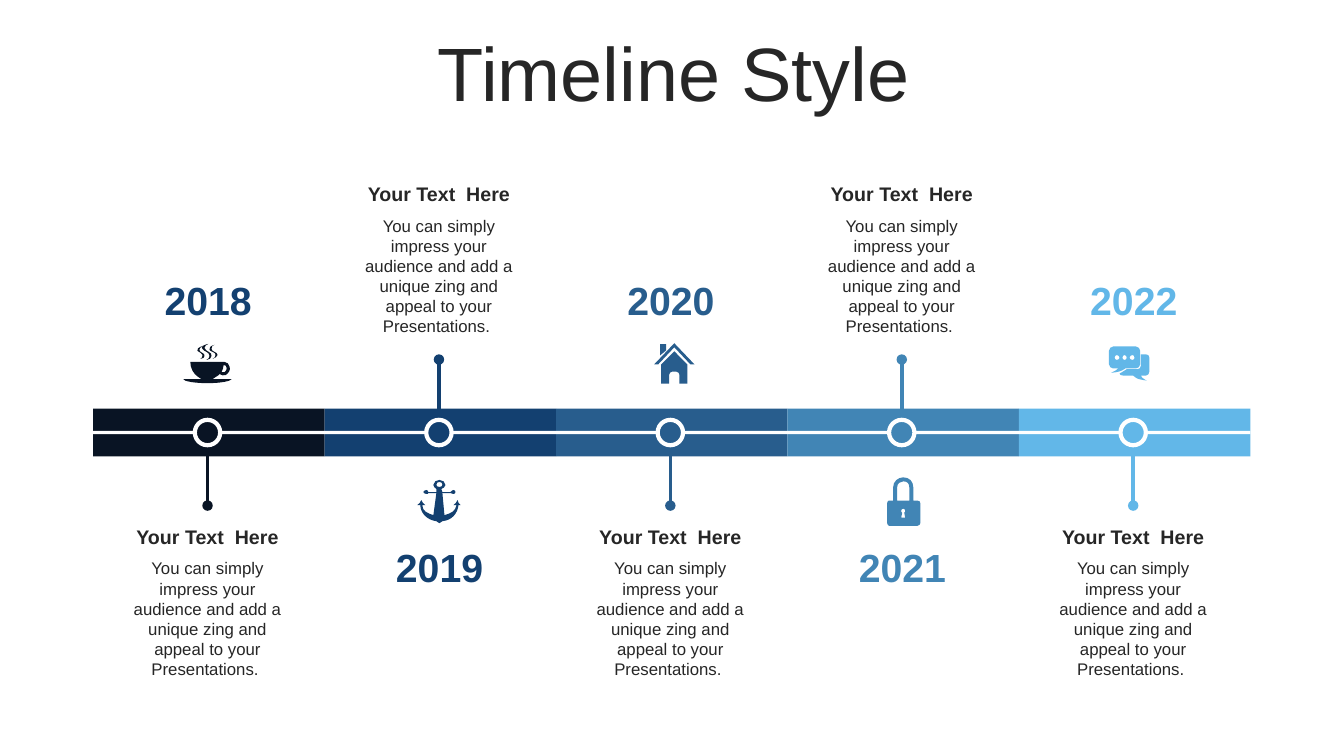
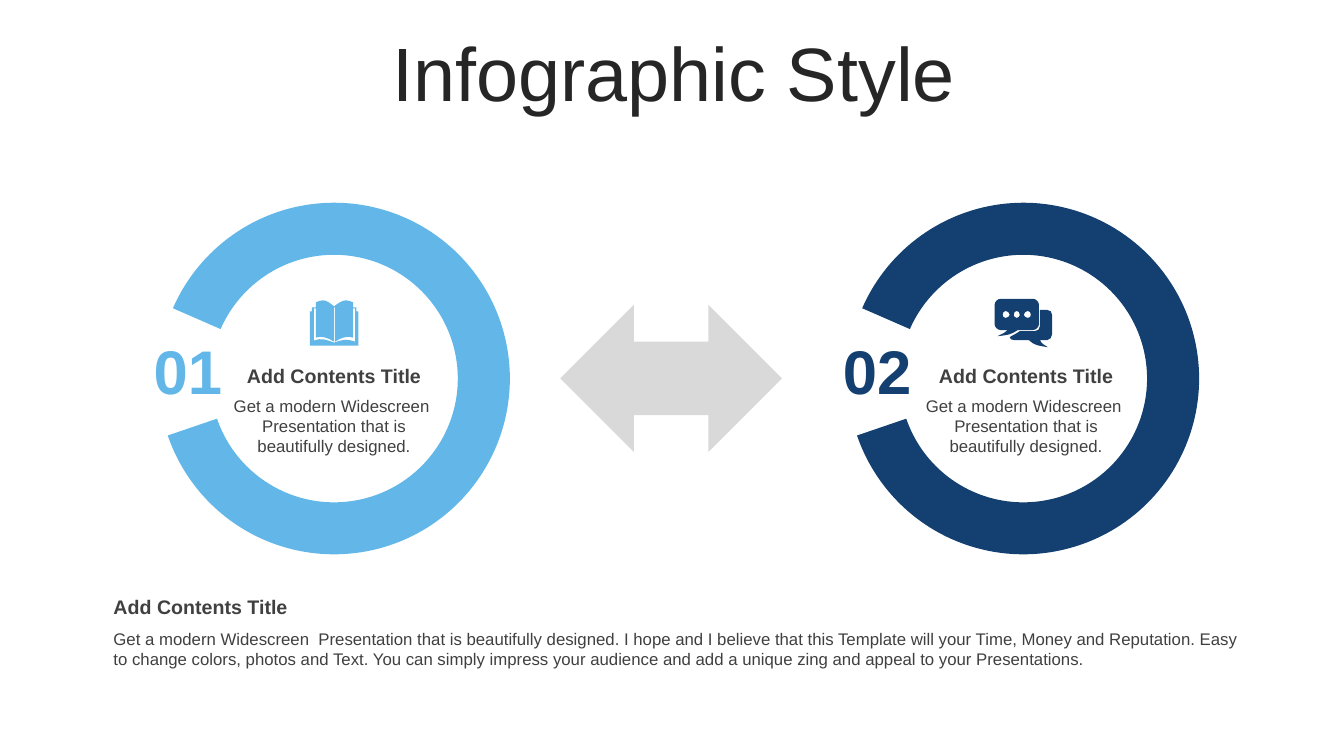
import lxml.etree
import pptx
import pptx.dml.color
import pptx.enum.shapes
import pptx.enum.text
import pptx.oxml.ns
import pptx.util

Cm, Pt = pptx.util.Cm, pptx.util.Pt
SHAPE = pptx.enum.shapes.MSO_SHAPE
ALIGN = pptx.enum.text.PP_ALIGN
ANCHOR = pptx.enum.text.MSO_ANCHOR
qn = pptx.oxml.ns.qn

FONT = "Arial"
INK, GREY_INK, WHITE, LIGHT_GREY = "262626", "404040", "FFFFFF", "D9D9D9"
NIGHT, NAVY, STEEL, AZURE, SKY = "091424", "134070", "285D8D", "4185B5", "62B7E8"

# Icon outlines: "/" parts contours, "C" starts a curve of three points.
CUP = """40,21 C 40,23 39,26 38,28 C 39,28 40,28 41,28 C 43,27 43,25 43,24
C 43,22 42,21 40,21 / 41,18 C 43,18 46,20 46,23 C 47,26 45,29 42,31
C 40,32 38,31 36,30 C 35,31 34,32 32,33 C 31,34 30,34 29,35 48,35
C 47,37 37,39 24,39 C 11,39 0,37 0,35 18,35 C 17,34 16,34 15,33
C 10,30 7,24 7,18 / 19,2 C 17,4 16,4 16,6 C 16,9 22,9 21,12
C 21,14 20,14 17,15 C 19,14 19,13 19,11 C 19,9 16,9 14,7 C 13,5 15,4 19,2
/ 31,1 C 29,2 28,2 28,5 C 28,8 34,8 34,11 C 33,13 32,14 29,15
C 31,14 32,13 32,11 C 32,8 27,8 26,6 C 25,4 27,2 31,1
/ 25,0 C 23,1 21,2 21,4 C 22,8 29,8 28,12 C 28,15 26,15 23,16
C 25,15 26,14 26,12 C 26,8 21,8 19,5 C 17,3 20,1 25,0"""
ANCHOR_ICON = """22,2 C 20,2 19,3 19,5 C 19,6 20,7 22,7 C 24,7 25,6 25,5
C 25,3 24,2 22,2 / 22,0 C 25,0 28,2 28,5 C 28,7 26,8 24,9 25,12 33,12
C 34,11 35,10 36,10 C 37,10 38,11 38,12 C 38,13 37,14 36,14
C 35,14 34,14 33,13 25,13 27,35 C 34,33 38,31 39,25 36,25
C 38,24 39,22 40,20 C 40,22 42,24 43,25 41,25 C 40,33 35,40 25,41 22,43 19,41
C 10,40 3,33 3,25 0,25 C 2,24 3,22 4,20 C 5,22 6,24 8,25 5,25
C 5,31 10,33 16,35 19,13 11,13 C 11,14 10,14 9,14 C 8,14 6,13 6,12
C 6,11 8,10 9,10 C 10,10 11,11 11,12 19,12 19,9 C 18,8 16,7 16,5
C 16,2 19,0 22,0"""
HOUSE = """20,8 33,21 33,40 25,40 25,31 C 25,30 24,28 22,28 18,28
C 16,28 15,30 15,31 15,40 7,40 7,21 / 6,1 12,1 12,7 6,12
/ 20,0 40,21 36,21 20,4 4,21 0,21"""
LOCK = """16,31 C 15,31 14,32 14,33 C 14,34 14,35 15,35 14,40 18,40 17,35
C 18,35 18,34 18,33 C 18,32 17,31 16,31
/ 16,4 C 13,4 10,6 10,10 10,23 22,23 22,10 C 22,6 20,4 16,4
/ 16,0 C 22,0 26,4 26,10 26,23 30,23 C 32,23 33,24 33,26 33,45
C 33,46 32,48 30,48 2,48 C 1,48 0,46 0,45 0,26 C 0,24 1,23 2,23 6,23 6,10
C 6,4 11,0 16,0"""
CHAT = """33,12 C 31,12 29,14 29,16 C 29,17 31,19 33,19 C 35,19 36,17 36,16
C 36,14 35,12 33,12 / 22,12 C 20,12 19,14 19,16 C 19,17 20,19 22,19
C 24,19 25,17 25,16 C 25,14 24,12 22,12 / 11,12 C 9,12 8,14 8,16
C 8,17 9,19 11,19 C 13,19 15,17 15,16 C 15,14 13,12 11,12
/ 45,11 52,11 C 55,11 57,13 57,16 57,35 C 57,38 55,41 52,41 45,41
C 46,43 46,44 53,48 C 41,46 40,46 34,41 20,41 C 17,41 15,40 15,38
C 18,36 21,35 25,32 40,32 C 43,32 45,30 45,27
/ 6,0 38,0 C 41,0 44,3 44,6 44,25 C 44,28 41,31 38,31 23,31
C 17,35 14,36 3,37 C 9,34 10,34 13,31 6,31 C 3,31 0,28 0,25 0,6
C 0,3 3,0 6,0"""
BOOK = """0,11 2,11 2,7 6,7 6,2 C 8,1 11,0 13,0 C 17,0 20,3 24,6
C 28,3 32,0 36,0 C 38,0 40,1 43,2 43,7 46,7 46,11 48,11 48,45 0,45
/ 6,8 4,8 4,40 C 12,37 16,39 24,42 C 32,39 36,38 45,41 45,8 43,8 43,37
C 37,35 31,37 25,41 25,7 24,7 24,41 C 18,37 11,35 6,37"""

# Year, year colour, colour, icon, icon width, icon shift; columns alternate sides.
MILESTONES = [
    ("2018", NAVY, NIGHT, CUP, 1.22, 0),
    ("2019", NAVY, NAVY, ANCHOR_ICON, 1.09, 0),
    ("2020", STEEL, STEEL, HOUSE, 1.02, 0.1),
    ("2021", AZURE, AZURE, LOCK, 0.84, 0.05),
    ("2022", SKY, SKY, CHAT, 1.02, -0.1),
]
MILESTONE_TEXT = ("You can simply impress your audience and add a unique zing "
                  "and appeal to your Presentations. ")
CONTENT_TITLE = "Add Contents Title"
CONTENT_TEXT = "Get a modern Widescreen  Presentation that is beautifully designed."
SUMMARY_TEXT = (CONTENT_TEXT + " I hope and I believe that this Template will your "
                "Time, Money and Reputation. Easy to change colors, photos and Text. "
                + MILESTONE_TEXT.strip())


def rgb(value):
    return pptx.dml.color.RGBColor.from_string(value)


def paint(shape, color):
    shape.shadow.inherit = False
    shape.fill.solid()
    shape.fill.fore_color.rgb = rgb(color)
    shape.line.fill.background()


def add_block(page, kind, left, top, width, height, color):
    shape = page.shapes.add_shape(kind, Cm(left), Cm(top), Cm(width), Cm(height))
    paint(shape, color)
    return shape


def set_text(box, text, size, color, bold=False, align=ALIGN.CENTER):
    frame = box.text_frame
    frame.text = text
    frame.word_wrap = True
    frame.auto_size = pptx.enum.text.MSO_AUTO_SIZE.NONE
    paragraph = frame.paragraphs[0]
    paragraph.alignment = align
    font = paragraph.runs[0].font
    font.name, font.size, font.bold = FONT, Pt(size), bold
    font.color.rgb = rgb(color)


def add_text(page, left, top, width, height, *style, **options):
    box = page.shapes.add_textbox(Cm(left), Cm(top), Cm(width), Cm(height))
    set_text(box, *style, **options)
    return box


def add_caption(page, left, top, width, heading, body, color,
                body_height, gap=0.86, align=ALIGN.CENTER):
    """Bold heading with its body text starting gap below the heading's top."""
    add_text(page, left, top, width, 0.86, heading, 14, color, bold=True, align=align)
    add_text(page, left, top + gap, width, body_height, body, 12, color, align=align)


def trace(contour):
    """Return the points of one outline and the indexes at which curves begin."""
    points, curves = [], []
    for token in contour.split():
        if token == "C":
            curves.append(len(points))
        else:
            points.append(tuple(int(number) for number in token.split(",")))
    return points, curves


def bend(shape, starts):
    """Join the three line segments at each start into one Bezier curve."""
    segments = list(shape.element.iter(qn("a:moveTo"), qn("a:lnTo")))
    for start in starts:
        first, *others = segments[start:start + 3]
        curve = lxml.etree.Element(qn("a:cubicBezTo"))
        first.addprevious(curve)
        for segment in (first, *others):
            curve.append(segment[0])
            segment.getparent().remove(segment)


def add_icon(page, outline, center_x, center_y, width, color):
    contours = [trace(contour) for contour in outline.split("/")]
    corners = [point for points, _ in contours for point in points]
    right, bottom = (max(values) for values in zip(*corners))
    unit = width / right
    builder, starts, count = None, [], 0
    for points, curves in contours:
        places = [(Cm(center_x + (x - right / 2) * unit),
                   Cm(center_y + (y - bottom / 2) * unit)) for x, y in points]
        if builder is None:
            builder = page.shapes.build_freeform(*places[0])
        else:
            builder.move_to(*places[0])
        builder.add_line_segments(places[1:], close=True)
        starts += [count + index for index in curves]
        count += len(points)
    icon = builder.convert_to_shape()
    bend(icon, starts)
    paint(icon, color)


def add_pin(page, x, tip, foot, color):
    """Vertical line with a round tip."""
    pin = page.shapes.add_connector(pptx.enum.shapes.MSO_CONNECTOR.STRAIGHT,
                                    Cm(x), Cm(tip), Cm(x), Cm(foot))
    pin.line.color.rgb = rgb(color)
    pin.line.width = Pt(2.5)
    properties = pin.element.spPr
    lxml.etree.SubElement(properties.find(qn("a:ln")), qn("a:headEnd"), type="oval")
    lxml.etree.SubElement(properties, qn("a:effectLst"))


def add_page(deck, title):
    page = deck.slides.add_slide(deck.slide_layouts[5])
    box = page.shapes.title
    box.left, box.top, box.width, box.height = Cm(0.9), Cm(0.94), Cm(32.16), Cm(2.01)
    set_text(box, title, 54, INK)
    box.text_frame.vertical_anchor = ANCHOR.MIDDLE
    box.text_frame.paragraphs[0].line_spacing = 0.9
    return page


def add_milestone(page, x, middle, below, year, year_color, color,
                  icon, icon_width, icon_shift):
    """Pin and caption on one side of the band, icon and year on the other."""
    side = 1 if below else -1
    add_pin(page, x, middle + side * 1.84, middle + side * 0.32, color)
    node = add_block(page, SHAPE.OVAL, x - 0.32, middle - 0.32, 0.64, 0.64, color)
    node.line.color.rgb = rgb(WHITE)
    node.line.width = Pt(3)
    add_caption(page, x - 2.17, middle + (2.2 if below else -6.44), 4.34,
                "Your Text  Here", MILESTONE_TEXT, INK, body_height=3.33, gap=0.84)
    add_icon(page, icon, x + icon_shift, middle - side * 1.74, icon_width, color)
    add_text(page, x - 1.65, middle + (-4.05 if below else 2.66), 3.33, 1.45,
             year, 28, year_color, bold=True)


def add_timeline(page, left, middle, width):
    column = width / len(MILESTONES)
    for index, milestone in enumerate(MILESTONES):
        add_block(page, SHAPE.RECTANGLE, left + index * column, middle - 0.6,
                  column, 1.2, milestone[2])
    add_block(page, SHAPE.RECTANGLE, left, middle - 0.04, width, 0.08, WHITE)
    for index, milestone in enumerate(MILESTONES):
        add_milestone(page, left + index * column + 2.88, middle, index % 2 == 0, *milestone)


def add_ring(page, left, top, size, number, icon, icon_width, color, text_shift=0):
    ring = add_block(page, SHAPE.BLOCK_ARC, left, top, size, size, color)
    for index, value in enumerate((122.14, 96.65, 0.148)):
        ring.adjustments[index] = value
    label = add_text(page, left - 0.38, top + 3.15, 2, 2.13, number, 44, color, bold=True)
    label.text_frame.margin_right = 0
    center = left + size / 2
    add_icon(page, icon, center, top + 3.03, icon_width, color)
    add_caption(page, center - 2.8 + text_shift, top + 3.94, 5.6, CONTENT_TITLE,
                CONTENT_TEXT, GREY_INK, body_height=1.8, gap=0.8)


def main():
    deck = pptx.Presentation()
    deck.slide_width, deck.slide_height = Cm(33.87), Cm(19.05)

    page = add_page(deck, "Timeline Style")
    add_timeline(page, 2.35, 10.9, 29.16)

    page = add_page(deck, "Infographic Style")
    add_ring(page, 3.99, 5.11, 8.86, "01", BOOK, 1.22, SKY)
    add_ring(page, 21.36, 5.11, 8.86, "02", CHAT, 1.45, NAVY, text_shift=0.07)
    add_block(page, SHAPE.LEFT_RIGHT_ARROW, 14.12, 7.68, 5.59, 3.71, LIGHT_GREY)
    add_caption(page, 2.61, 14.86, 28.9, CONTENT_TITLE, SUMMARY_TEXT, GREY_INK,
                body_height=1.27, align=ALIGN.LEFT)

    deck.save("out.pptx")


if __name__ == "__main__":
    main()
